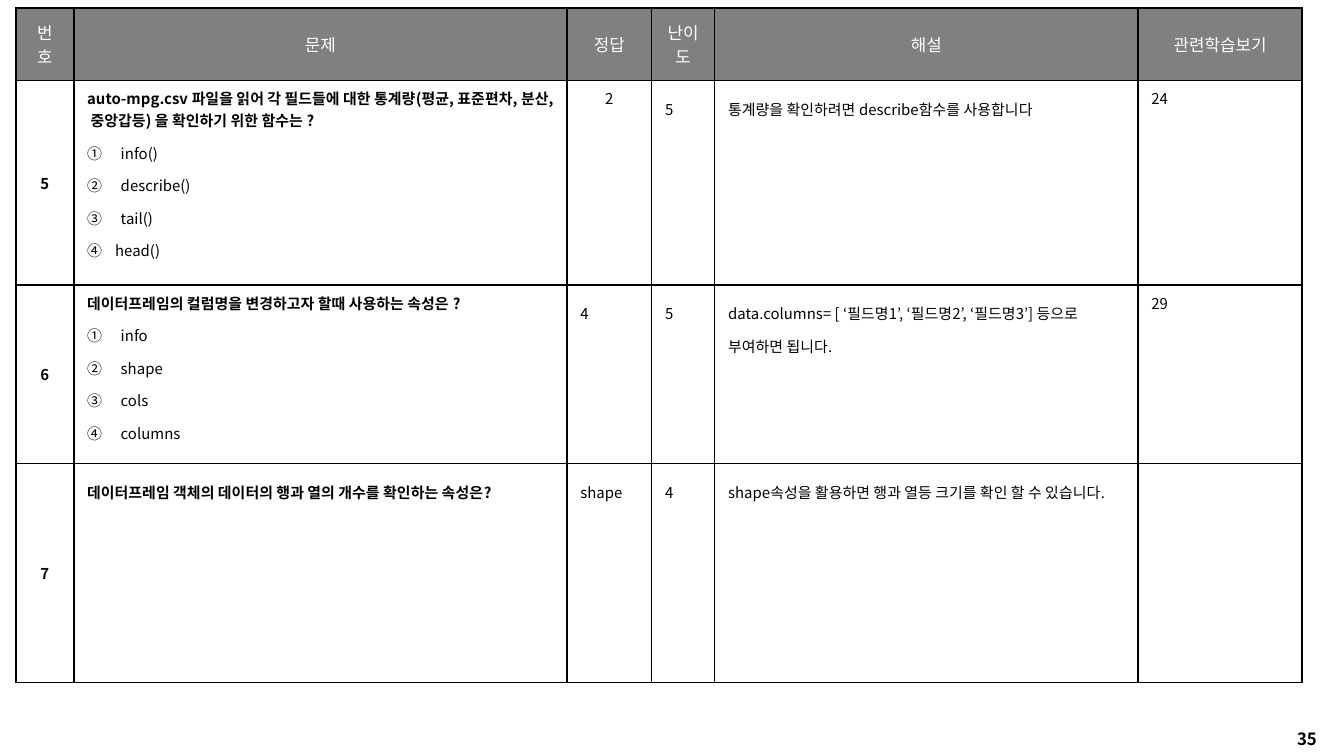
from dataclasses import dataclass

from lxml import etree
from pptx import Presentation
from pptx.dml.color import RGBColor
from pptx.enum.text import MSO_ANCHOR, PP_ALIGN
from pptx.oxml.ns import qn
from pptx.util import Pt

CENTER, LEFT = PP_ALIGN.CENTER, PP_ALIGN.LEFT
MIDDLE, TOP = MSO_ANCHOR.MIDDLE, MSO_ANCHOR.TOP


@dataclass(frozen=True)
class Theme:
    font: str = "Noto Sans CJK KR"
    header_size: int = 9
    body_size: int = 8
    page_size: int = 9
    border: str = "000000"
    black: RGBColor = RGBColor(0x00, 0x00, 0x00)
    white: RGBColor = RGBColor(0xFF, 0xFF, 0xFF)
    gray: RGBColor = RGBColor(0x80, 0x80, 0x80)


THEME = Theme()
COL_WIDTHS = [30.9, 264.2, 45.4, 33.8, 226.8, 87.9]
ROW_HEIGHTS = [38.9, 109.4, 95.8, 117.3]
HEADERS = ["번호", "문제", "정답", "난이도", "해설", "관련학습보기"]


@dataclass(frozen=True)
class Question:
    number: str
    text: str
    answer: str
    level: str
    note: str
    related: str = ""
    options: tuple = ()
    last_option: str = ""  # option whose number is typed by hand
    spacing: float = 1.0
    answer_align: PP_ALIGN = LEFT
    answer_spacing: float = 1.5


QUESTIONS = [
    Question("5", "auto-mpg.csv 파일을 읽어 각 필드들에 대한 통계량(평균, 표준편차, "
             "분산, 중앙갑등) 을 확인하기 위한 함수는 ?",
             "2", "5", "통계량을 확인하려면 describe함수를 사용합니다", "24",
             options=("info()", "describe()", "tail()"), last_option="④\thead()",
             answer_align=CENTER, answer_spacing=1.0),
    Question("6", "데이터프레임의 컬럼명을 변경하고자 할때 사용하는 속성은 ?",
             "4", "5",
             "data.columns= [ ‘필드명1’, ‘필드명2’, ‘필드명3’] 등으로 부여하면 됩니다.", "29",
             options=("info", "shape", "cols", "columns")),
    Question("7", "데이터프레임 객체의 데이터의 행과 열의 개수를 확인하는 속성은?",
             "shape", "4", "shape속성을 활용하면 행과 열등 크기를 확인 할 수 있습니다.",
             spacing=1.5),
]


def write(p, text, size=THEME.body_size, color=THEME.black, bold=False,
          align=LEFT, spacing=1.0):
    p.text = text
    p.alignment = align
    p.line_spacing = spacing
    for r in p.runs:
        r.font.name = THEME.font
        r.font.size = Pt(size)
        r.font.bold = bold
        r.font.color.rgb = color
        etree.SubElement(r.font._element, qn("a:ea"), typeface=THEME.font)


def set_hanging(p, indent, numbered):
    pPr = p._p.get_or_add_pPr()
    pPr.set("marL", str(Pt(indent)))
    pPr.set("indent", str(-Pt(indent)))
    if numbered:
        etree.SubElement(pPr, qn("a:buAutoNum"), type="circleNumDbPlain")


def style_cell(cell, fill, anchor=TOP):
    tcPr = cell._tc.get_or_add_tcPr()
    for side in ("lnL", "lnR", "lnT", "lnB"):
        ln = etree.SubElement(tcPr, qn(f"a:{side}"), w=str(Pt(1)))
        solid = etree.SubElement(ln, qn("a:solidFill"))
        etree.SubElement(solid, qn("a:srgbClr"), val=THEME.border)
    cell.fill.solid()
    cell.fill.fore_color.rgb = fill
    cell.vertical_anchor = anchor


def fill_header(cells):
    for cell, label in zip(cells, HEADERS):
        style_cell(cell, THEME.gray, MIDDLE)
        write(cell.text_frame.paragraphs[0], label, THEME.header_size,
              THEME.white, align=CENTER)


def fill_question(cells, q):
    for i, cell in enumerate(cells):
        style_cell(cell, THEME.white, MIDDLE if i == 0 else TOP)
    first = [cell.text_frame.paragraphs[0] for cell in cells]
    write(first[0], q.number, bold=True, align=CENTER)
    write(first[1], q.text, bold=True, spacing=q.spacing)
    write(first[2], q.answer, align=q.answer_align, spacing=q.answer_spacing)
    write(first[3], q.level, spacing=1.5)
    write(first[4], q.note, spacing=1.5)
    write(first[5], q.related)

    # Answer options below the question
    tf = cells[1].text_frame
    for option in q.options:
        p = tf.add_paragraph()
        write(p, option, spacing=1.5)
        set_hanging(p, 18, numbered=True)
    if q.last_option:
        p = tf.add_paragraph()
        write(p, q.last_option, spacing=1.5)
        set_hanging(p, 15, numbered=False)


def add_question_table(s):
    table = s.shapes.add_table(len(ROW_HEIGHTS), len(COL_WIDTHS), Pt(8.6), Pt(4.3),
                               Pt(sum(COL_WIDTHS)), Pt(sum(ROW_HEIGHTS))).table
    table.first_row = False
    table.horz_banding = False
    for column, width in zip(table.columns, COL_WIDTHS):
        column.width = Pt(width)
    for row, height in zip(table.rows, ROW_HEIGHTS):
        row.height = Pt(height)
    rows = [list(row.cells) for row in table.rows]
    fill_header(rows[0])
    for cells, q in zip(rows[1:], QUESTIONS):
        fill_question(cells, q)


def add_page_number(s, number):
    sp = s.shapes.add_textbox(Pt(683.3), Pt(386.6), Pt(33.8), Pt(18))
    tf = sp.text_frame
    tf.word_wrap = True
    write(tf.paragraphs[0], number, THEME.page_size, bold=True, align=CENTER)


def main():
    prs = Presentation()
    prs.slide_width, prs.slide_height = Pt(720), Pt(405)
    s = prs.slides.add_slide(prs.slide_layouts[6])
    add_page_number(s, "35")
    add_question_table(s)
    prs.save("out.pptx")


if __name__ == "__main__":
    main()
